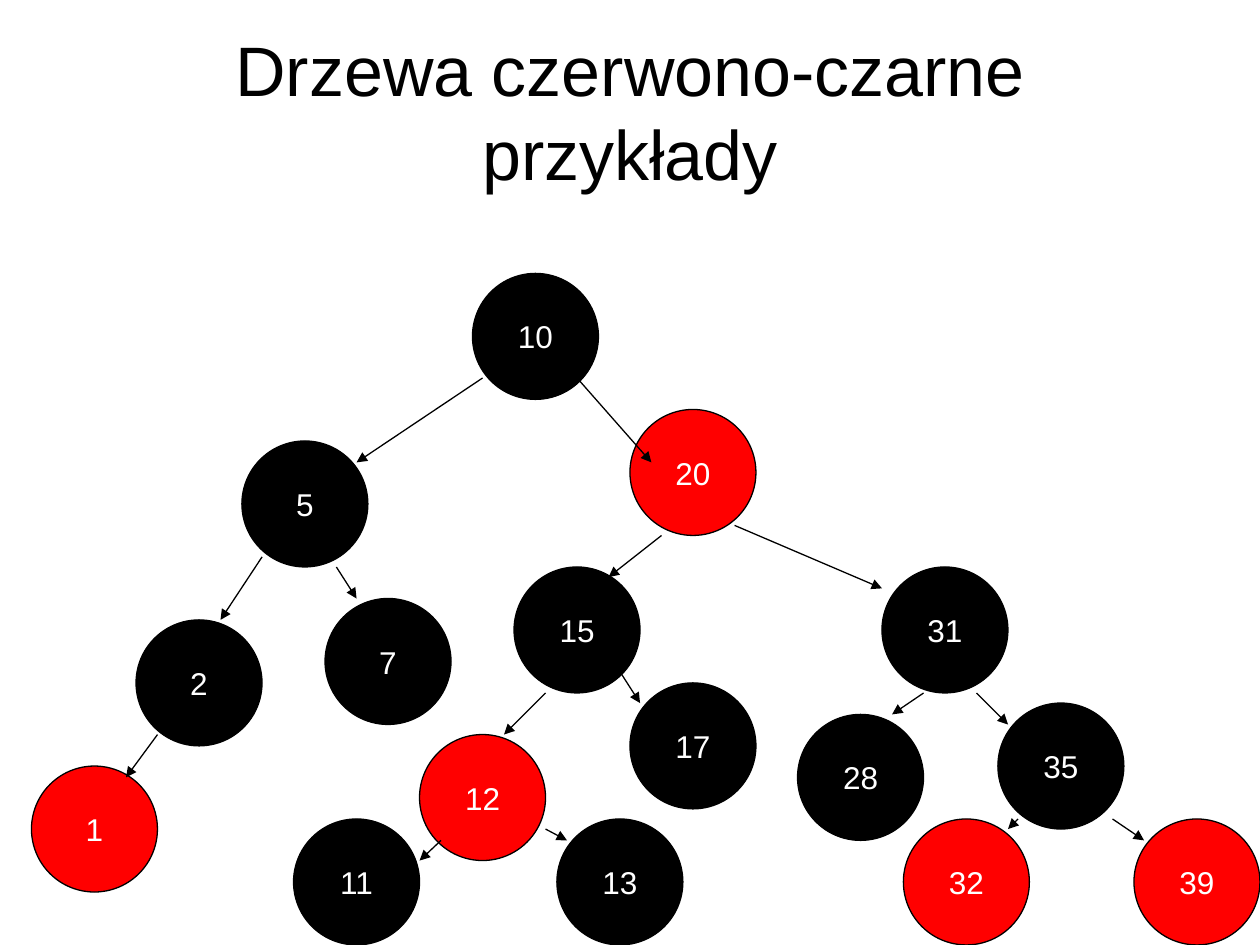
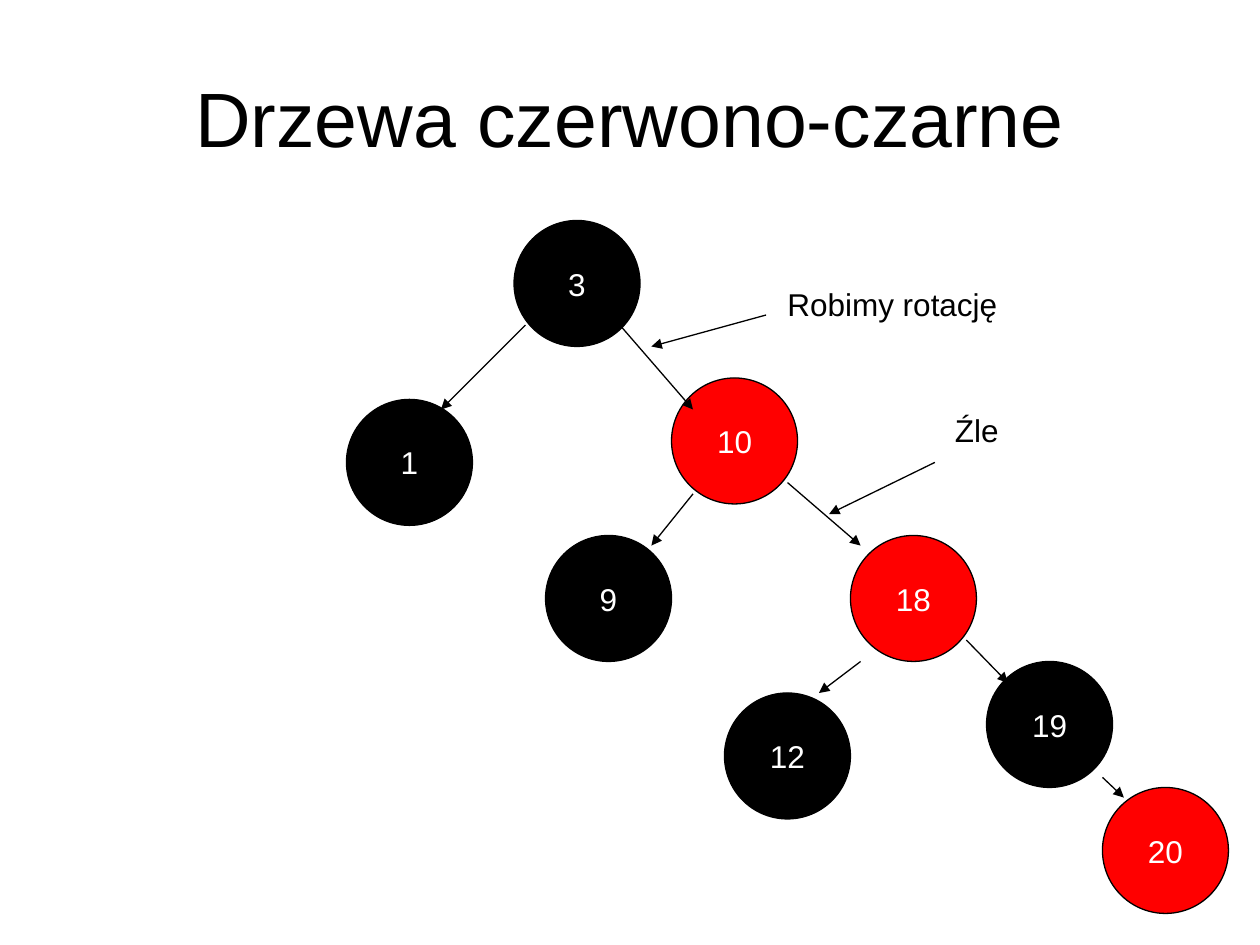
"""Build two slides of red-black tree diagrams."""
from dataclasses import dataclass

from lxml import etree
from pptx import Presentation
from pptx.dml.color import RGBColor
from pptx.enum.shapes import MSO_CONNECTOR, MSO_SHAPE
from pptx.enum.text import MSO_ANCHOR, PP_ALIGN
from pptx.oxml.ns import qn
from pptx.util import Inches, Pt

OVAL = MSO_SHAPE.OVAL
STRAIGHT = MSO_CONNECTOR.STRAIGHT
MIDDLE = MSO_ANCHOR.MIDDLE
CENTER, LEFT = PP_ALIGN.CENTER, PP_ALIGN.LEFT


@dataclass(frozen=True)
class Theme:
    black: RGBColor = RGBColor(0, 0, 0)
    red: RGBColor = RGBColor(255, 0, 0)
    white: RGBColor = RGBColor(255, 255, 255)
    font: str = "Arial"
    body_size: int = 18
    line_width: float = 0.75
    node_size: float = 1


THEME = Theme()
BLACK, RED = THEME.black, THEME.red


def write(frame, text, size, color, align):
    frame.text = text
    paragraph = frame.paragraphs[0]
    paragraph.alignment = align
    paragraph.font.name = THEME.font
    paragraph.font.size = Pt(size)
    paragraph.font.color.rgb = color


def draw_arrow(slide, ends):
    arrow = slide.shapes.add_connector(STRAIGHT, *map(Inches, ends))
    arrow.line.color.rgb = BLACK
    arrow.line.width = Pt(THEME.line_width)
    properties = arrow.line._get_or_add_ln()
    etree.SubElement(properties, qn("a:tailEnd"), type="triangle")
    etree.SubElement(properties.getparent(), qn("a:effectLst"))


slides = [
    {
        "title": "Drzewa czerwono-czarne\vprzykłady",
        "title_top": 0.25,
        "title_size": 40,
        "nodes": [
            (10, 3.75, 2.17, BLACK),
            (20, 5, 3.25, RED),
            (31, 7, 4.5, BLACK),
            (5, 1.92, 3.5, BLACK),
            (2, 1.08, 4.92, BLACK),
            (15, 4.08, 4.5, BLACK),
            (12, 3.33, 5.83, RED),
            (7, 2.58, 4.75, BLACK),
            (13, 4.42, 6.5, BLACK),
            (11, 2.33, 6.5, BLACK),
            (35, 7.92, 5.58, BLACK),
            (28, 6.33, 5.67, BLACK),
            (17, 5, 5.42, BLACK),
            (39, 9, 6.5, RED),
            (1, 0.25, 6.08, RED),
            (32, 7.17, 6.5, RED),
        ],
        "arrows": [
            (4.58, 3, 5.17, 3.67),
            (3.83, 3, 2.83, 3.67),
            (5.25, 4.25, 4.83, 4.58),
            (5.83, 4.17, 7, 4.67),
            (2.08, 4.42, 1.75, 4.92),
            (4.33, 5.5, 4, 5.83),
            (2.67, 4.5, 2.83, 4.75),
            (3.5, 6.67, 3.33, 6.83),
            (4.33, 6.58, 4.5, 6.67),
            (4.92, 5.33, 5.08, 5.58),
            (7.33, 5.5, 7.08, 5.67),
            (7.75, 5.5, 8, 5.75),
            (8.83, 6.5, 9.08, 6.67),
            (1.25, 5.83, 1, 6.17),
            (8.08, 6.5, 8, 6.58),
        ],
        "remarks": [],
    },
    {
        "title": "Drzewa czerwono-czarne",
        "title_top": 0.3,
        "title_size": 44,
        "nodes": [
            (1, 2.75, 3.17, BLACK),
            (3, 4.08, 1.75, BLACK),
            (10, 5.33, 3, RED),
            (9, 4.33, 4.25, BLACK),
            (12, 5.75, 5.5, BLACK),
            (18, 6.75, 4.25, RED),
            (19, 7.83, 5.25, BLACK),
            (20, 8.75, 6.25, RED),
        ],
        "arrows": [
            (4.17, 2.58, 3.5, 3.25),
            (4.92, 2.58, 5.5, 3.25),
            (5.5, 3.92, 5.17, 4.33),
            (6.25, 3.83, 6.83, 4.33),
            (6.83, 5.25, 6.5, 5.5),
            (7.67, 5.08, 8, 5.42),
            (8.75, 6.17, 8.92, 6.33),
            (7.42, 3.67, 6.58, 4.08),
            (6.08, 2.5, 5.17, 2.75),
        ],
        "remarks": [
            ("Źle", 7.48, 3.21, 0.62),
            ("Robimy rotację", 6.15, 2.21, 1.95),
        ],
    },
]

deck = Presentation()
deck.slide_width, deck.slide_height = Inches(10), Inches(7.5)

for content in slides:
    slide = deck.slides.add_slide(deck.slide_layouts[6])

    title = slide.shapes.add_textbox(
        Inches(0.5), Inches(content["title_top"]), Inches(9), Inches(1.25)
    )
    title.text_frame.word_wrap = True
    title.text_frame.vertical_anchor = MIDDLE
    write(title.text_frame, content["title"], content["title_size"], BLACK, CENTER)

    for key, left, top, color in content["nodes"]:
        size = Inches(THEME.node_size)
        node = slide.shapes.add_shape(OVAL, Inches(left), Inches(top), size, size)
        node.shadow.inherit = False
        node.fill.solid()
        node.fill.fore_color.rgb = color
        node.line.color.rgb = BLACK
        node.line.width = Pt(THEME.line_width)
        node.text_frame.word_wrap = False
        node.text_frame.vertical_anchor = MIDDLE
        write(node.text_frame, str(key), THEME.body_size, THEME.white, CENTER)

    for ends in content["arrows"]:
        draw_arrow(slide, ends)

    for text, left, top, width in content["remarks"]:
        remark = slide.shapes.add_textbox(
            Inches(left), Inches(top), Inches(width), Inches(0.4)
        )
        remark.text_frame.word_wrap = True
        write(remark.text_frame, text, THEME.body_size, BLACK, LEFT)

deck.save("out.pptx")
